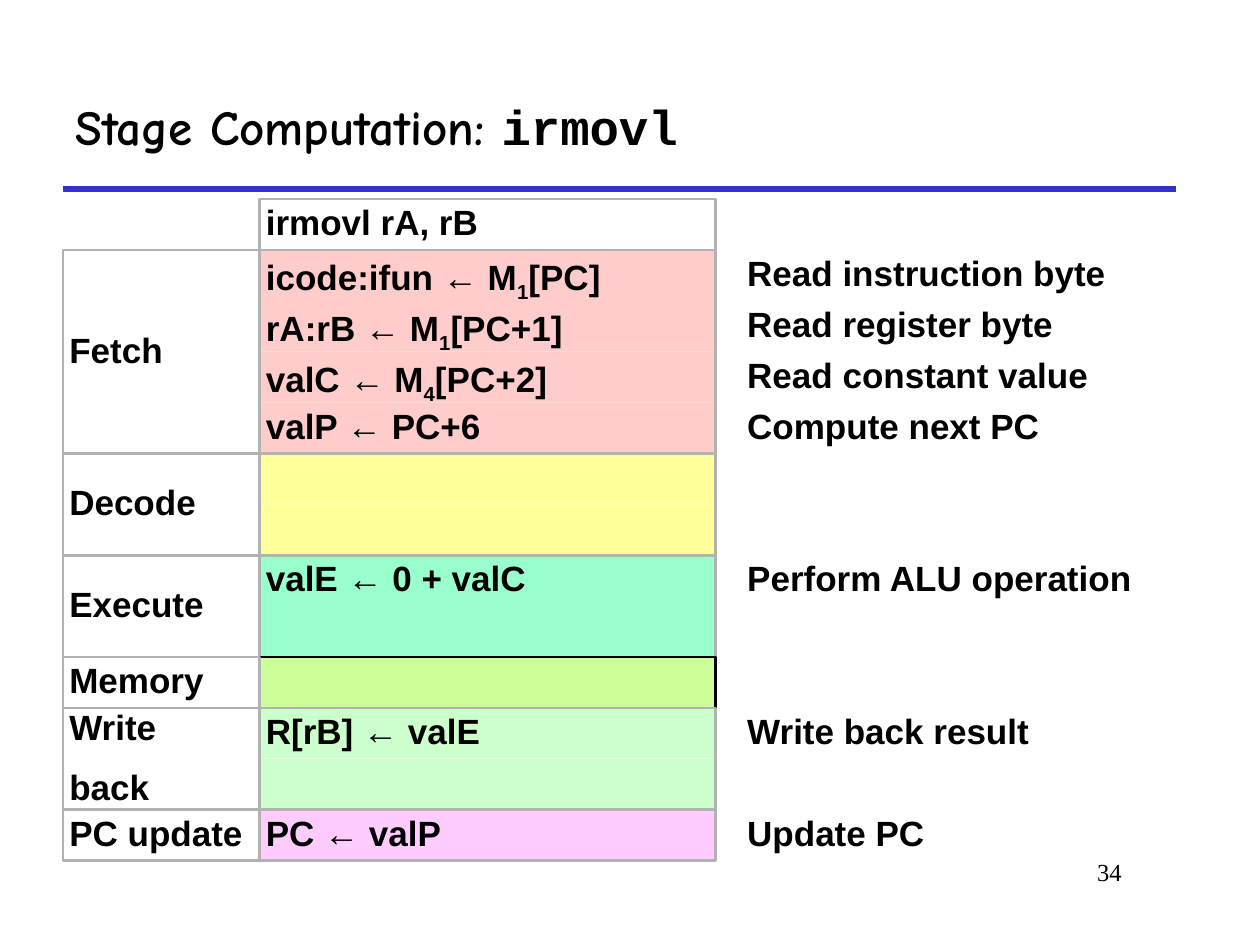
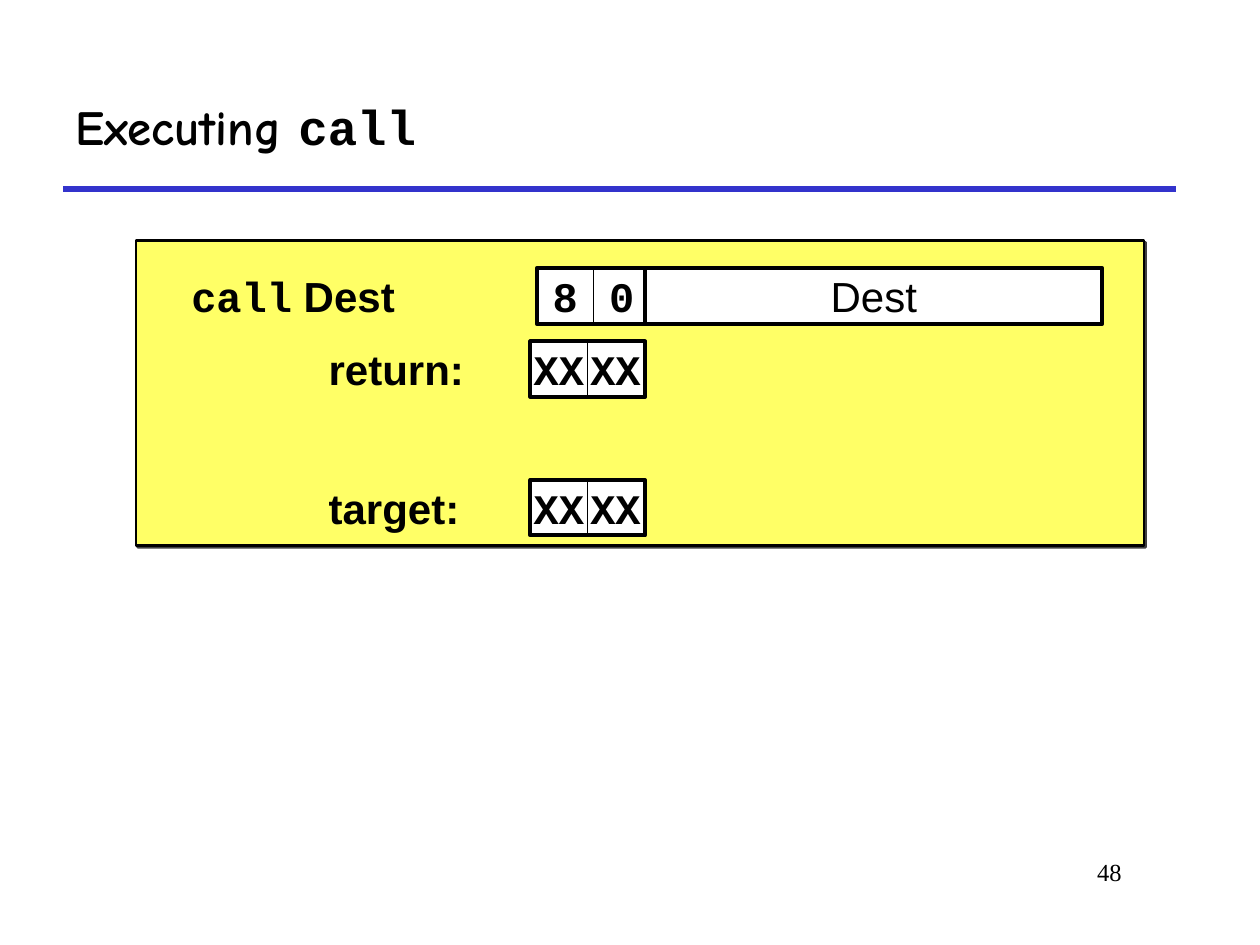
"""Builds two slides on instruction stages and the call instruction."""
from lxml import etree
from pptx import Presentation
from pptx.dml.color import RGBColor
from pptx.enum import shapes, text
from pptx.oxml.ns import qn
from pptx.util import Inches, Pt

BLACK, WHITE, GREY, BLUE = "000000", "FFFFFF", "B2B2B2", "3333CC"
PANEL_YELLOW = "FFFF66"
SANS, MONO, TITLE_FONT, NUMBER_FONT = "Arial", "Courier New", "Comic Neue", "Times New Roman"
LEFT, CENTER, RIGHT = text.PP_ALIGN.LEFT, text.PP_ALIGN.CENTER, text.PP_ALIGN.RIGHT
TOP, MIDDLE = text.MSO_ANCHOR.TOP, text.MSO_ANCHOR.MIDDLE

TABLE_TOP, ROW_HEIGHT = 1.58, 5.25 / 13
STAGE_LEFT, STAGE_WIDTH = 0.5, 1.56
STEP_LEFT, STEP_WIDTH = 2.06, 3.62
NOTE_LEFT = 5.88
BYTE_HEIGHT, DIGIT_WIDTH = 0.44, 0.45

# Underscores enclose a subscript.
STAGES = [
    ("Fetch", "FFCCCC", GREY, [
        ("icode:ifun ← M_1_[PC]", "Read instruction byte"),
        ("rA:rB ← M_1_[PC+1]", "Read register byte"),
        ("valC ← M_4_[PC+2]", "Read constant value"),
        ("valP ← PC+6", "Compute next PC")]),
    ("Decode", "FFFF99", GREY, [("", ""), ("", "")]),
    ("Execute", "99FFCC", GREY, [("valE ← 0 + valC", "Perform ALU operation"), ("", "")]),
    ("Memory", "CCFF99", BLACK, [("", "")]),
    ("Write\nback", "CCFFCC", GREY, [("R[rB] ← valE", "Write back result"), ("", "")]),
    ("PC update", "FFCCFF", GREY, [("PC ← valP", "Update PC")]),
]


def rgb(value):
    """Turn a hex string into a colour."""
    return RGBColor.from_string(value)


def add_run(paragraph, words, font, size, bold=True):
    """Append one black run and return it."""
    run = paragraph.add_run()
    run.text = words
    run.font.name, run.font.size, run.font.bold = font, Pt(size), bold
    run.font.color.rgb = rgb(BLACK)
    return run


def set_frame(shape, anchor, margin=0.1, wrap=True):
    """Set anchor, side margins and wrapping, and return the text frame."""
    frame = shape.text_frame
    frame.word_wrap, frame.vertical_anchor = wrap, anchor
    frame.margin_left = frame.margin_right = Inches(margin)
    frame.margin_top = frame.margin_bottom = Inches(0.05)
    return frame


def add_box(slide, left, top, width, height, fill=None, line=None, weight=1.5):
    """Draw a rectangle with optional fill and outline."""
    box = slide.shapes.add_shape(shapes.MSO_SHAPE.RECTANGLE, Inches(left), Inches(top),
                                 Inches(width), Inches(height))
    box.shadow.inherit = False
    if fill:
        box.fill.solid()
        box.fill.fore_color.rgb = rgb(fill)
    else:
        box.fill.background()
    if line:
        box.line.color.rgb = rgb(line)
        box.line.width = Pt(weight)
    else:
        box.line.fill.background()
    return box


def add_label(slide, left, top, width, height, runs, size, align=LEFT, bold=True, anchor=MIDDLE):
    """Place a one-line text box made of (words, font) runs."""
    label = slide.shapes.add_textbox(Inches(left), Inches(top), Inches(width), Inches(height))
    paragraph = set_frame(label, anchor).paragraphs[0]
    paragraph.alignment = align
    for words, font in runs:
        add_run(paragraph, words, font, size, bold)


def write_stage_text(shape, words, anchor=TOP):
    """Write bold table text, one paragraph a line, with subscripts."""
    frame = set_frame(shape, anchor, 0.05)
    for index, line in enumerate(words.split("\n")):
        paragraph = frame.add_paragraph() if index else frame.paragraphs[0]
        paragraph.alignment, paragraph.line_spacing = LEFT, 0.9
        if index:
            paragraph.space_before = Pt(12.5)
        for part, piece in enumerate(line.split("_")):
            run = add_run(paragraph, piece, SANS, 20)
            if part % 2:
                run.font._element.set("baseline", "-25000")


def add_stage(slide, top, name, fill, line, steps):
    """Draw one stage with its steps and their notes."""
    height = len(steps) * ROW_HEIGHT
    for index, (step, note) in enumerate(steps):
        row_top = top + index * ROW_HEIGHT
        step_row = add_box(slide, STEP_LEFT, row_top, STEP_WIDTH, ROW_HEIGHT, fill)
        if step:
            write_stage_text(step_row, step)
        if note:
            note_box = slide.shapes.add_textbox(Inches(NOTE_LEFT), Inches(row_top),
                                                Inches(STEP_WIDTH), Inches(ROW_HEIGHT))
            write_stage_text(note_box, note)
    add_box(slide, STEP_LEFT, top, STEP_WIDTH, height, line=line)
    stage = add_box(slide, STAGE_LEFT, top, STAGE_WIDTH, height, line=GREY)
    write_stage_text(stage, name, MIDDLE)


def add_field(slide, left, top, width, words, font, weight, bold=True):
    """Draw a white code field with centred text."""
    field = add_box(slide, left, top, width, BYTE_HEIGHT, WHITE, BLACK, weight)
    paragraph = set_frame(field, MIDDLE, wrap=False).paragraphs[0]
    paragraph.alignment = CENTER
    add_run(paragraph, words, font, 24, bold)


def add_byte(slide, left, top, digits):
    """Draw a byte as two digit fields in a heavy outline."""
    for index, digit in enumerate(digits):
        add_field(slide, left + index * DIGIT_WIDTH, top, DIGIT_WIDTH, digit, MONO, 0.5)
    add_box(slide, left, top, 0.91, BYTE_HEIGHT, line=BLACK, weight=2.25)


def add_drop_shadow(shape):
    """Give a shape a small hard shadow to the lower right."""
    effects = shape._element.spPr.find(qn("a:effectLst"))
    shadow = etree.SubElement(effects, qn("a:outerShdw"), dist=str(Pt(1.4)), dir="2700000",
                              algn="ctr", rotWithShape="0")
    color = etree.SubElement(shadow, qn("a:srgbClr"), val=BLACK)
    etree.SubElement(color, qn("a:alpha"), val="75000")


def start_slide(deck, title, code, number):
    """Add a slide with the shared rule, page number and title."""
    slide = deck.slides.add_slide(deck.slide_layouts[6])
    rule = slide.shapes.add_connector(shapes.MSO_CONNECTOR.STRAIGHT, Inches(0.5), Inches(1.5),
                                      Inches(9.33), Inches(1.5))
    rule.line.color.rgb = rgb(BLUE)
    rule.line.width = Pt(3)
    etree.SubElement(rule._element.spPr, qn("a:effectLst"))
    add_label(slide, 7.58, 6.75, 1.42, 0.5, [(number, NUMBER_FONT)], 14, RIGHT, False, TOP)
    add_label(slide, 0.5, 0.5, 8.83, 1, [(title, TITLE_FONT), (code, MONO)], 28)
    return slide


def build_stage_slide(deck):
    """Show the stage computation of irmovl."""
    slide = start_slide(deck, "Stage Computation: ", "irmovl", "34")
    header = add_box(slide, STEP_LEFT, TABLE_TOP, STEP_WIDTH, ROW_HEIGHT, line=GREY)
    write_stage_text(header, "irmovl rA, rB")
    top = TABLE_TOP + ROW_HEIGHT
    for name, fill, line, steps in STAGES:
        add_stage(slide, top, name, fill, line, steps)
        top += len(steps) * ROW_HEIGHT


def build_call_slide(deck):
    """Show the encoding of call and its two addresses."""
    slide = start_slide(deck, "Executing ", "call", "48")
    add_drop_shadow(add_box(slide, 1.08, 1.91, 8, 2.42, PANEL_YELLOW, BLACK))
    add_label(slide, 1.42, 2.13, 2.83, BYTE_HEIGHT, [("call", MONO), (" Dest", SANS)], 24)
    add_byte(slide, 4.26, 2.13, "80")
    add_field(slide, 5.12, 2.13, 3.63, "Dest", SANS, 2.25, False)
    for address, top in (("return:", 2.71), ("target:", 3.81)):
        add_byte(slide, 4.21, top, ["XX", "XX"])
        add_label(slide, 2.51, top, 1.65, BYTE_HEIGHT, [(address, SANS)], 24)


def main():
    """Build and save the presentation."""
    deck = Presentation()
    deck.slide_width, deck.slide_height = Inches(10), Inches(7.5)
    build_stage_slide(deck)
    build_call_slide(deck)
    deck.save("out.pptx")


if __name__ == "__main__":
    main()
